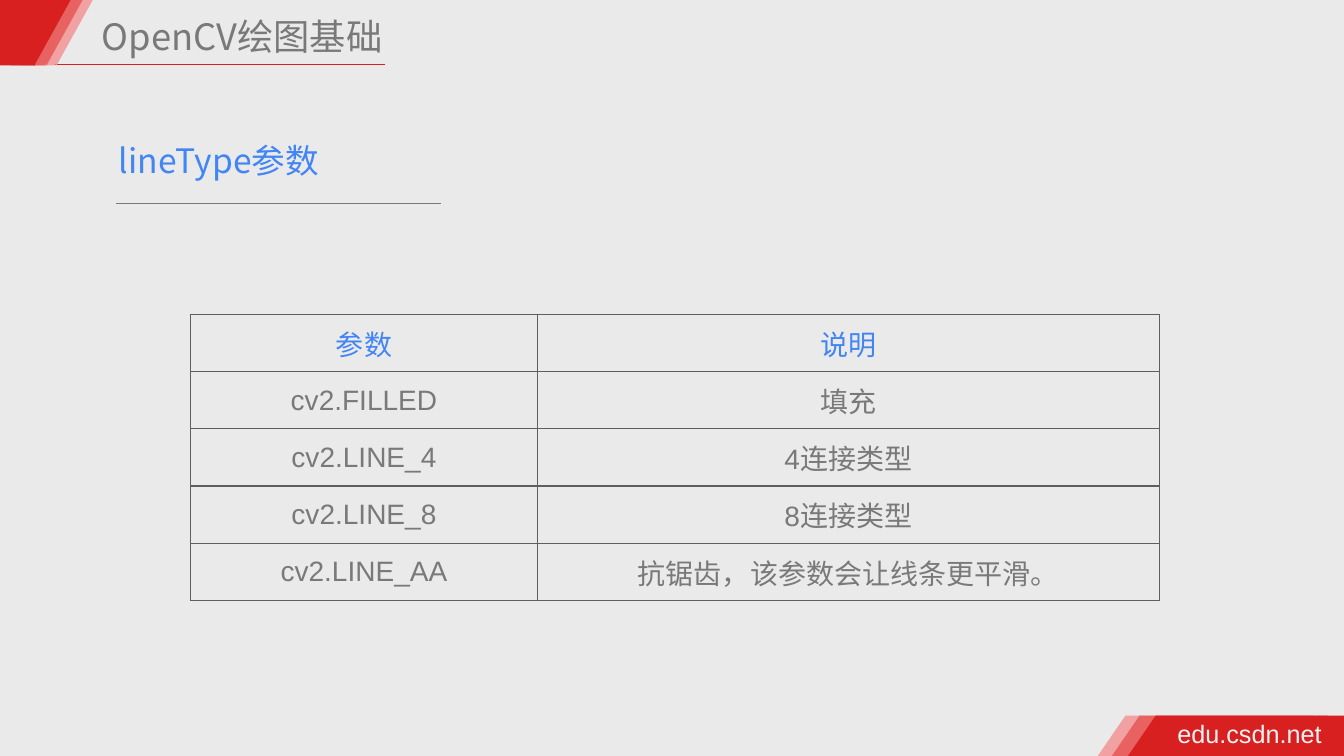
from dataclasses import dataclass

from lxml.etree import SubElement
from pptx import Presentation
from pptx.dml.color import RGBColor
from pptx.enum.shapes import MSO_CONNECTOR, MSO_SHAPE
from pptx.enum.text import MSO_ANCHOR, MSO_AUTO_SIZE, PP_ALIGN
from pptx.oxml import parse_xml
from pptx.oxml.ns import nsdecls, qn
from pptx.util import Inches, Pt


@dataclass(frozen=True)
class Theme:
    background: str = "EAEAEA"
    red: str = "D82020"
    coral: str = "E86262"
    pink: str = "F1A1A1"
    blue: str = "4285F4"
    grey: str = "797979"
    border: str = "5F5F5F"
    white: str = "F2F2F2"
    latin: str = "Arial"
    cjk: str = "Noto Sans CJK SC"
    title: float = 25.9
    heading: float = 24
    cell: float = 20
    footer: float = 18


theme = Theme()
deck = Presentation()
deck.slide_width, deck.slide_height = Inches(13.33), Inches(7.5)
COLUMN, ROW = deck.slide_width / 40, deck.slide_height / 30


def grid(x, y, x2, y2):
    """Turn columns and rows of the 40 by 30 slide grid into lengths."""
    return [int(n * unit) for n, unit in zip((x, y, x2, y2), (COLUMN, ROW) * 2)]


def write(frame, text, size, colour, face, margins=(0.1, 0.05)):
    """Fill a text frame with one formatted paragraph and return it."""
    frame.text = text
    frame.margin_left = frame.margin_right = Inches(margins[0])
    frame.margin_top = frame.margin_bottom = Inches(margins[1])
    paragraph = frame.paragraphs[0]
    for run in paragraph.runs:
        run.font.size = Pt(size)
        run.font.color.rgb = RGBColor.from_string(colour)
        run.font.name = face
        SubElement(run.font._element, qn("a:ea"), typeface=theme.cjk)
    return paragraph


slide = deck.slides.add_slide(deck.slide_layouts[5])
slide.background.fill.solid()
slide.background.fill.fore_color.rgb = RGBColor.from_string(theme.background)

# Rules under the title and the heading
for ends, colour in (((1.47, 2.56, 11.46, 2.56), theme.red),
                     ((3.45, 8.08, 13.14, 8.08), theme.grey)):
    rule = slide.shapes.add_connector(MSO_CONNECTOR.STRAIGHT, *grid(*ends))
    rule.line.color.rgb = RGBColor.from_string(colour)
    rule.line.width = Pt(1)
    SubElement(rule._element.spPr, qn("a:effectLst"))

# Slanted corner bands: a block with a triangle for its slope
for colour, top_left, bottom_left in ((theme.pink, 0.6, 32.67),
                                      (theme.coral, 0.3, 33.09),
                                      (theme.red, -0.06, 33.57)):
    for preset, area, turn in (
            (MSO_SHAPE.RECTANGLE, (max(top_left, 0), 0, 1.05, 2.6), 0),
            (MSO_SHAPE.ISOSCELES_TRIANGLE, (top_left, 0, 2.16, 2.6), 180),
            (MSO_SHAPE.RECTANGLE, (bottom_left + 0.83, 28.4, 5.6, 1.6), 0),
            (MSO_SHAPE.ISOSCELES_TRIANGLE, (bottom_left, 28.4, 1.65, 1.6), 0)):
        band = slide.shapes.add_shape(preset, *grid(*area))
        band.rotation = turn
        band.shadow.inherit = False
        band.fill.solid()
        band.fill.fore_color.rgb = RGBColor.from_string(colour)
        band.line.fill.background()

# Title
title = slide.shapes.title
title.left, title.top, title.width, title.height = grid(2.88, 0.2, 11.58, 2.24)
title_line = write(title.text_frame, "OpenCV绘图基础", theme.title, theme.grey,
                   theme.cjk, (0.05, 0.05))
title_line.alignment = PP_ALIGN.LEFT
title_line.line_spacing = 1.1
title.text_frame.vertical_anchor = MSO_ANCHOR.TOP
title.text_frame.auto_size = MSO_AUTO_SIZE.NONE

# Heading and footer address
heading = slide.shapes.add_textbox(*grid(3.24, 5.36, 11.22, 2)).text_frame
heading.word_wrap = True
write(heading, "lineType参数", theme.heading, theme.blue, theme.cjk)

address = slide.shapes.add_textbox(*grid(34.89, 28.32, 4.65, 1.6)).text_frame
address.word_wrap = False
write(address, "edu.csdn.net", theme.footer, theme.white, theme.latin, (0.05, 0.05))

# Table of line types
line_types = (
    ("参数", "说明"),
    ("cv2.FILLED", "填充"),
    ("cv2.LINE_4", "4连接类型"),
    ("cv2.LINE_8", "8连接类型"),
    ("cv2.LINE_AA", "抗锯齿，该参数会让线条更平滑。"),
)
table = slide.shapes.add_table(len(line_types), 2, *grid(5.67, 12.48, 28.83, 11.35)).table
table.first_row = table.horz_banding = False
for column, share in zip(table.columns, (10.33, 18.5)):
    column.width = int(share * COLUMN)

for r, entries in enumerate(line_types):
    for c, entry in enumerate(entries):
        cell = table.cell(r, c)
        colour = theme.grey if r else theme.blue
        write(cell.text_frame, entry, theme.cell, colour,
              theme.latin).alignment = PP_ALIGN.CENTER
        cell.margin_left = cell.margin_right = Inches(0.19)
        cell.margin_top = cell.margin_bottom = 0
        cell.vertical_anchor = MSO_ANCHOR.MIDDLE
        cell.fill.background()
        # Borders come before the fill in the cell properties
        properties = cell._tc.get_or_add_tcPr()
        for place, side in enumerate(("lnL", "lnR", "lnT", "lnB")):
            properties.insert(place, parse_xml(
                f'<a:{side} {nsdecls("a")} w="{Pt(1)}"><a:solidFill>'
                f'<a:srgbClr val="{theme.border}"/></a:solidFill></a:{side}>'))

deck.save("out.pptx")
